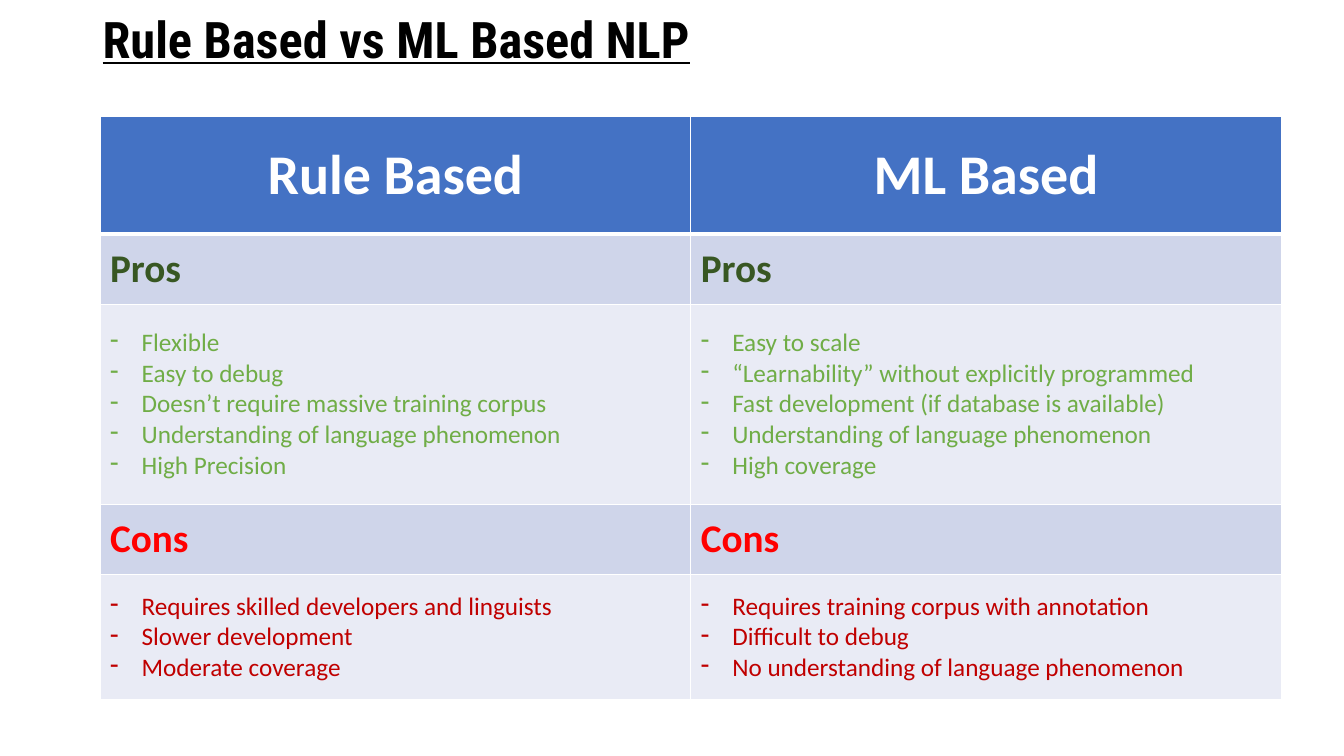
"""Build a slide that compares rule based and ML based NLP in a table."""
import dataclasses

import lxml.etree
import pptx
import pptx.dml.color
import pptx.enum.text
import pptx.oxml.ns
import pptx.presentation
import pptx.slide
import pptx.table
import pptx.text.text
import pptx.util

Pt = pptx.util.Pt
ALIGN = pptx.enum.text.PP_ALIGN
MIDDLE = pptx.enum.text.MSO_ANCHOR.MIDDLE
WHITE = "FFFFFF"


@dataclasses.dataclass(frozen=True)
class Row:
    height: float
    fill: str
    color: str
    size: float
    cells: tuple[tuple[str, ...], tuple[str, ...]]
    bold: bool = True
    align: ALIGN = ALIGN.LEFT
    bullet: str = ""
    under: float = 1


ROWS = [
    Row(84.24, "4472C4", WHITE, 40, (("Rule Based",), ("ML Based",)),
        align=ALIGN.CENTER, under=3),
    Row(50.4, "CFD5EA", "385723", 28, (("Pros",), ("Pros",))),
    Row(142.7, "E9EBF5", "70AD47", 18, (
        ("Flexible", "Easy to debug", "Doesn’t require massive training corpus",
         "Understanding of language phenomenon", "High Precision"),
        ("Easy to scale", "“Learnability” without explicitly programmed",
         "Fast development (if database is available)",
         "Understanding of language phenomenon", "High coverage"),
    ), bold=False, bullet="-"),
    Row(50.4, "CFD5EA", "FF0000", 28, (("Cons",), ("Cons",))),
    Row(89.4, "E9EBF5", "C00000", 18, (
        ("Requires skilled developers and linguists", "Slower development",
         "Moderate coverage"),
        ("Requires training corpus with annotation", "Difficult to debug",
         "No understanding of language phenomenon"),
    ), bold=False, bullet="-"),
]


def rgb(code: str) -> pptx.dml.color.RGBColor:
    """Turn a hex string into a colour."""
    return pptx.dml.color.RGBColor.from_string(code)


def add_node(parent: lxml.etree._Element, tag: str, **attrs: str) -> lxml.etree._Element:
    """Append a drawing element to its parent."""
    return lxml.etree.SubElement(parent, pptx.oxml.ns.qn(tag), attrs)


def write(frame: pptx.text.text.TextFrame, lines: tuple[str, ...], *, size: float,
          color: str, font: str = "Calibri", bold: bool = True, line: bool = False,
          align: ALIGN = ALIGN.LEFT, bullet: str = "", space: float = 1) -> None:
    """Fill a text frame with one paragraph for each line."""
    frame.word_wrap = True
    for index, text in enumerate(lines):
        para = frame.add_paragraph() if index else frame.paragraphs[0]
        para.alignment = align
        para.line_spacing = space
        if bullet:
            props = para._p.get_or_add_pPr()
            props.set("marL", str(Pt(22.5)))
            props.set("indent", str(-Pt(22.5)))
            add_node(props, "a:buChar", char=bullet)
        run = para.add_run()
        run.text = text
        run.font.name = font
        run.font.size = Pt(size)
        run.font.bold = bold
        run.font.underline = line
        run.font.color.rgb = rgb(color)


def add_edges(cell: pptx.table._Cell, top: float, under: float) -> None:
    """Draw white borders round a cell."""
    props = cell._tc.get_or_add_tcPr()
    for side, width in (("L", 1), ("R", 1), ("T", top), ("B", under)):
        edge = add_node(props, f"a:ln{side}", w=str(Pt(width)))
        add_node(add_node(edge, "a:solidFill"), "a:srgbClr", val=WHITE)


def add_title(slide: pptx.slide.Slide) -> None:
    """Add the underlined title."""
    box = slide.shapes.add_textbox(Pt(66.24), Pt(8.64), Pt(828), Pt(42.5))
    box.text_frame.vertical_anchor = MIDDLE
    write(box.text_frame, ("Rule Based vs ML Based NLP",), size=36, color="000000",
          font="Roboto Condensed", line=True, space=0.9)


def add_grid(slide: pptx.slide.Slide) -> None:
    """Add the table of pros and cons."""
    total = sum(row.height for row in ROWS)
    table = slide.shapes.add_table(len(ROWS), 2, Pt(71.5), Pt(82.8),
                                   Pt(843.84), Pt(total)).table
    top = 1
    for index, row in enumerate(ROWS):
        table.rows[index].height = Pt(row.height)
        for cell, lines in zip(table.rows[index].cells, row.cells):
            add_edges(cell, top, row.under)
            cell.fill.solid()
            cell.fill.fore_color.rgb = rgb(row.fill)
            cell.vertical_anchor = MIDDLE
            write(cell.text_frame, lines, size=row.size, color=row.color,
                  bold=row.bold, align=row.align, bullet=row.bullet)
        top = row.under


def main() -> None:
    """Build and save the slide."""
    deck = pptx.Presentation()
    deck.slide_width, deck.slide_height = Pt(960), Pt(540)
    slide = deck.slides.add_slide(deck.slide_layouts[6])
    add_title(slide)
    add_grid(slide)
    deck.save("out.pptx")


if __name__ == "__main__":
    main()
